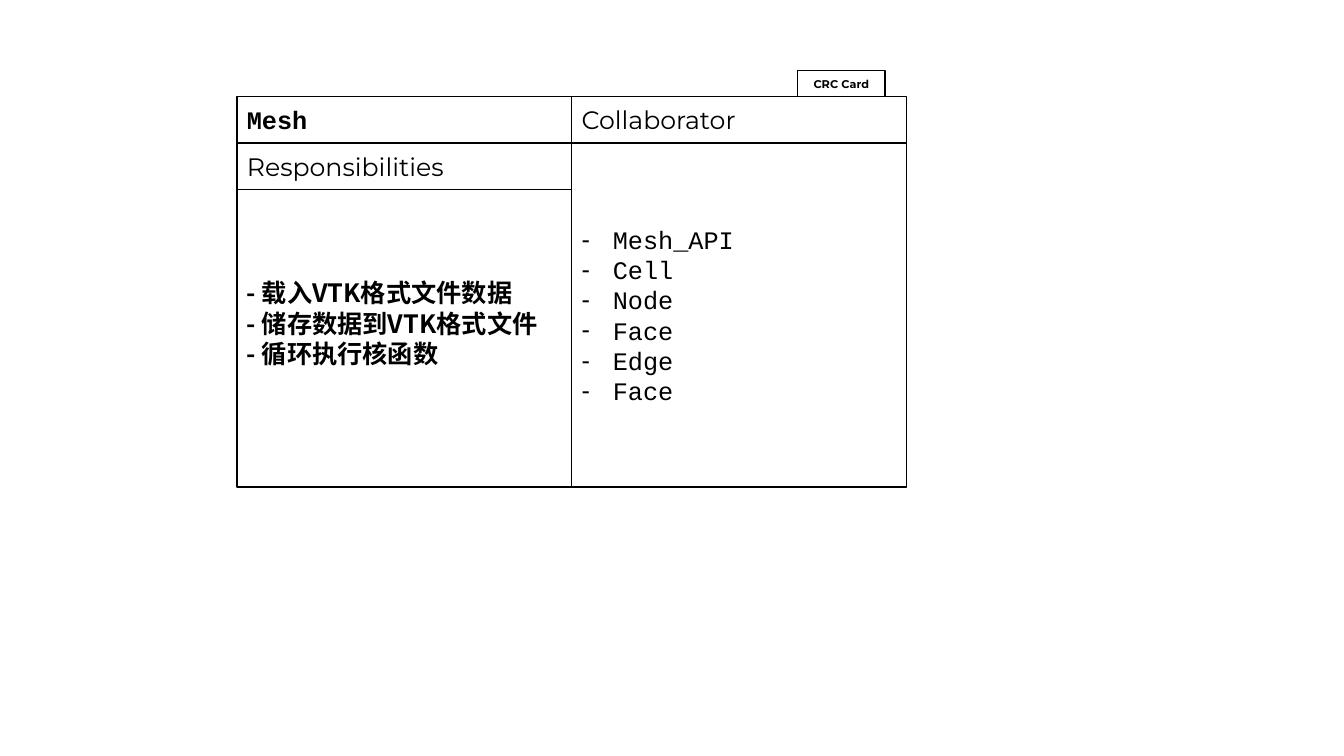
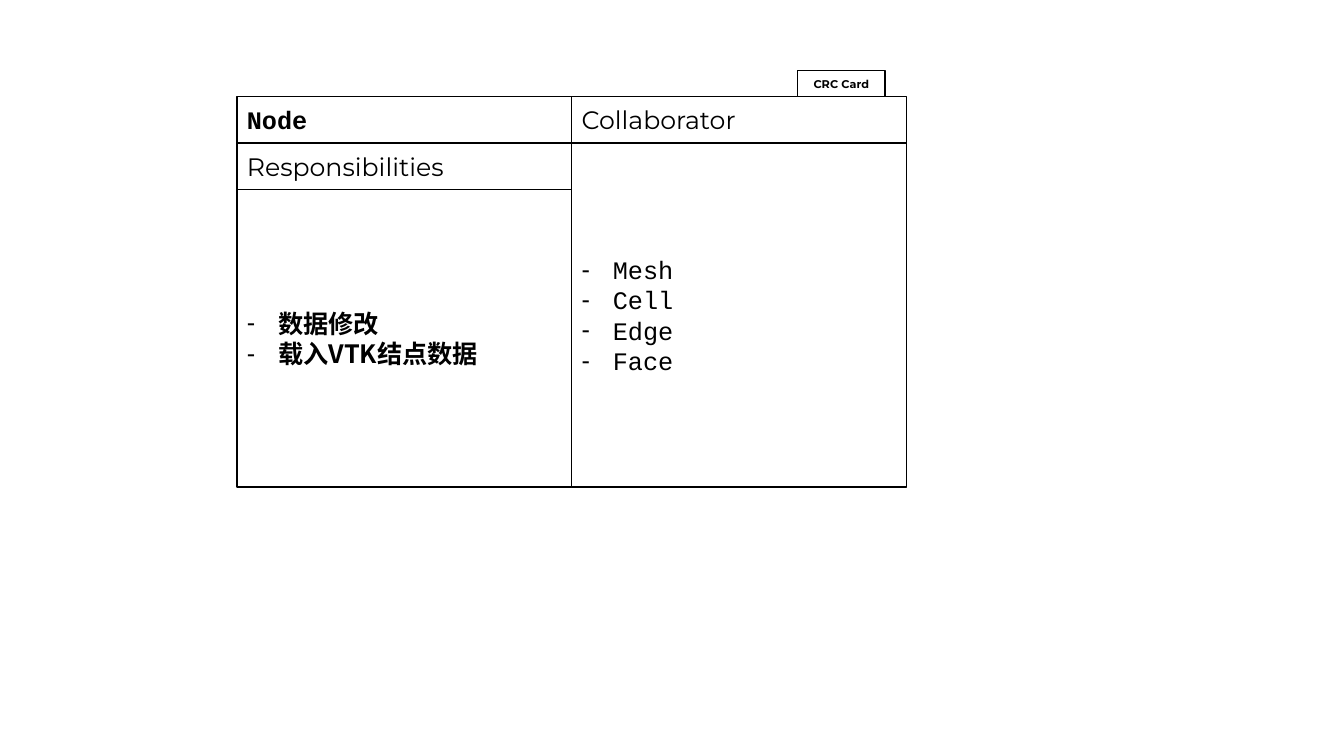
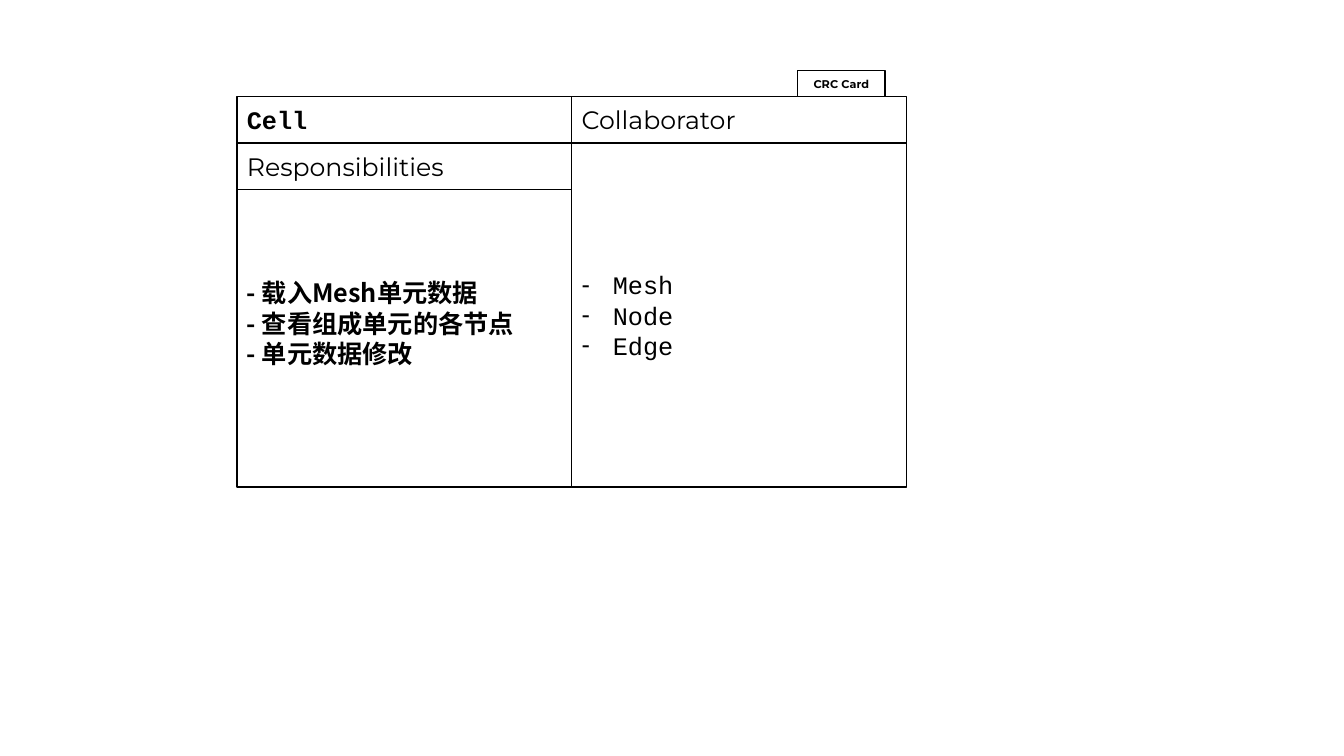
import lxml.etree
import pptx
import pptx.dml.color
import pptx.enum.shapes
import pptx.enum.text
import pptx.oxml.ns
import pptx.util

# Content: one CRC card per slide; "bullets" marks automatic dash bullets
CARDS = [
    {
        "name": "Mesh",
        "duties": ["- 载入VTK格式文件数据", "- 储存数据到VTK格式文件", "- 循环执行核函数"],
        "bullets": False,
        "partners": ["Mesh_API", "Cell", "Node", "Face", "Edge", "Face"],
    },
    {
        "name": "Node",
        "duties": ["数据修改", "载入VTK结点数据"],
        "bullets": True,
        "partners": ["Mesh", "Cell", "Edge", "Face"],
    },
    {
        "name": "Cell",
        "duties": ["- 载入Mesh单元数据", "- 查看组成单元的各节点", "- 单元数据修改"],
        "bullets": False,
        "partners": ["Mesh", "Node", "Edge"],
    },
]


class Theme:
    ink = pptx.dml.color.RGBColor(0, 0, 0)
    paper = pptx.dml.color.RGBColor(255, 255, 255)
    heading = "Montserrat"
    code = "Courier New"
    chinese = "Noto Sans CJK SC"
    bullet_font = "Arial"
    body_size = 18
    tab_size = 8
    line_width = 1
    indent = 0.31
    inset = 0.05
    lift = 0.3  # extra bottom inset, one line of body text


# Card grid, in inches
SLIDE_WIDTH, SLIDE_HEIGHT = 13.33, 7.5
LEFT, TOP = 2.35, 0.96
COLUMN, ROW = 3.32, 0.46
CARD_HEIGHT = 3.87
TAB_WIDTH, TAB_HEIGHT, TAB_GAP = 0.87, 0.26, 0.21


def add_bullet(para):
    properties = para._p.get_or_add_pPr()
    indent = pptx.util.Inches(Theme.indent)
    properties.set("marL", str(indent))
    properties.set("indent", str(-indent))
    for tag, key, value in (
        ("a:buFont", "typeface", Theme.bullet_font),
        ("a:buChar", "char", "-"),
    ):
        lxml.etree.SubElement(properties, pptx.oxml.ns.qn(tag)).set(key, value)


def write(frame, lines, *, font, size=Theme.body_size, bold=False,
          bullets=False, align=pptx.enum.text.PP_ALIGN.LEFT):
    for index, line in enumerate(lines):
        para = frame.paragraphs[0] if index == 0 else frame.add_paragraph()
        para.alignment = align
        if bullets:
            add_bullet(para)
        span = para.add_run()
        span.text = line
        span.font.size = pptx.util.Pt(size)
        span.font.bold = bold
        span.font.color.rgb = Theme.ink
        span.font.name = font
        east_asian = lxml.etree.SubElement(
            span.font._element, pptx.oxml.ns.qn("a:ea"))
        east_asian.set("typeface", font)


def add_box(page, left, top, width, height, lines, lift=0, **text_format):
    box = page.shapes.add_shape(
        pptx.enum.shapes.MSO_SHAPE.RECTANGLE,
        *(pptx.util.Inches(length) for length in (left, top, width, height)))
    box.shadow.inherit = False
    box.fill.solid()
    box.fill.fore_color.rgb = Theme.paper
    box.line.color.rgb = Theme.ink
    box.line.width = pptx.util.Pt(Theme.line_width)
    frame = box.text_frame
    frame.word_wrap = True
    frame.vertical_anchor = pptx.enum.text.MSO_ANCHOR.MIDDLE
    frame.margin_bottom = pptx.util.Inches(Theme.inset + lift)
    write(frame, lines, **text_format)


def add_card(page, card):
    right = LEFT + COLUMN
    # Header cells
    add_box(page, LEFT, TOP, COLUMN, ROW, [card["name"]],
            font=Theme.code, bold=True)
    add_box(page, LEFT, TOP + ROW, COLUMN, ROW, ["Responsibilities"],
            font=Theme.heading)
    add_box(page, right, TOP, COLUMN, ROW, ["Collaborator"],
            font=Theme.heading)
    # Body cells
    add_box(page, LEFT, TOP + 2 * ROW, COLUMN, CARD_HEIGHT - 2 * ROW,
            card["duties"], lift=0 if card["bullets"] else Theme.lift,
            font=Theme.chinese, bold=True, bullets=card["bullets"])
    add_box(page, right, TOP + ROW, COLUMN, CARD_HEIGHT - ROW,
            card["partners"], font=Theme.code, bullets=True)
    # Tab above the right column
    add_box(page, right + COLUMN - TAB_GAP - TAB_WIDTH, TOP - TAB_HEIGHT,
            TAB_WIDTH, TAB_HEIGHT, ["CRC Card"], font=Theme.heading,
            size=Theme.tab_size, bold=True,
            align=pptx.enum.text.PP_ALIGN.CENTER)


def main():
    deck = pptx.Presentation()
    deck.slide_width = pptx.util.Inches(SLIDE_WIDTH)
    deck.slide_height = pptx.util.Inches(SLIDE_HEIGHT)
    for card in CARDS:
        add_card(deck.slides.add_slide(deck.slide_layouts[6]), card)
    deck.save("out.pptx")


if __name__ == "__main__":
    main()
